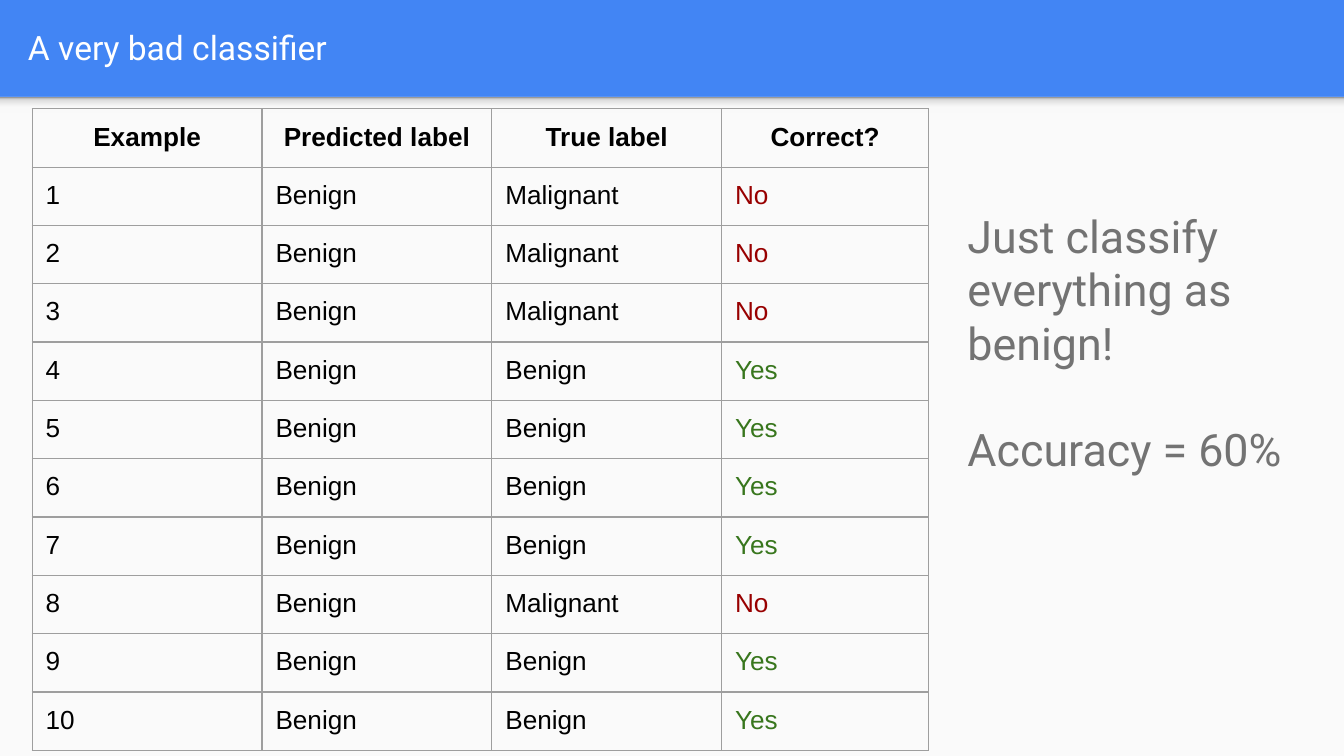
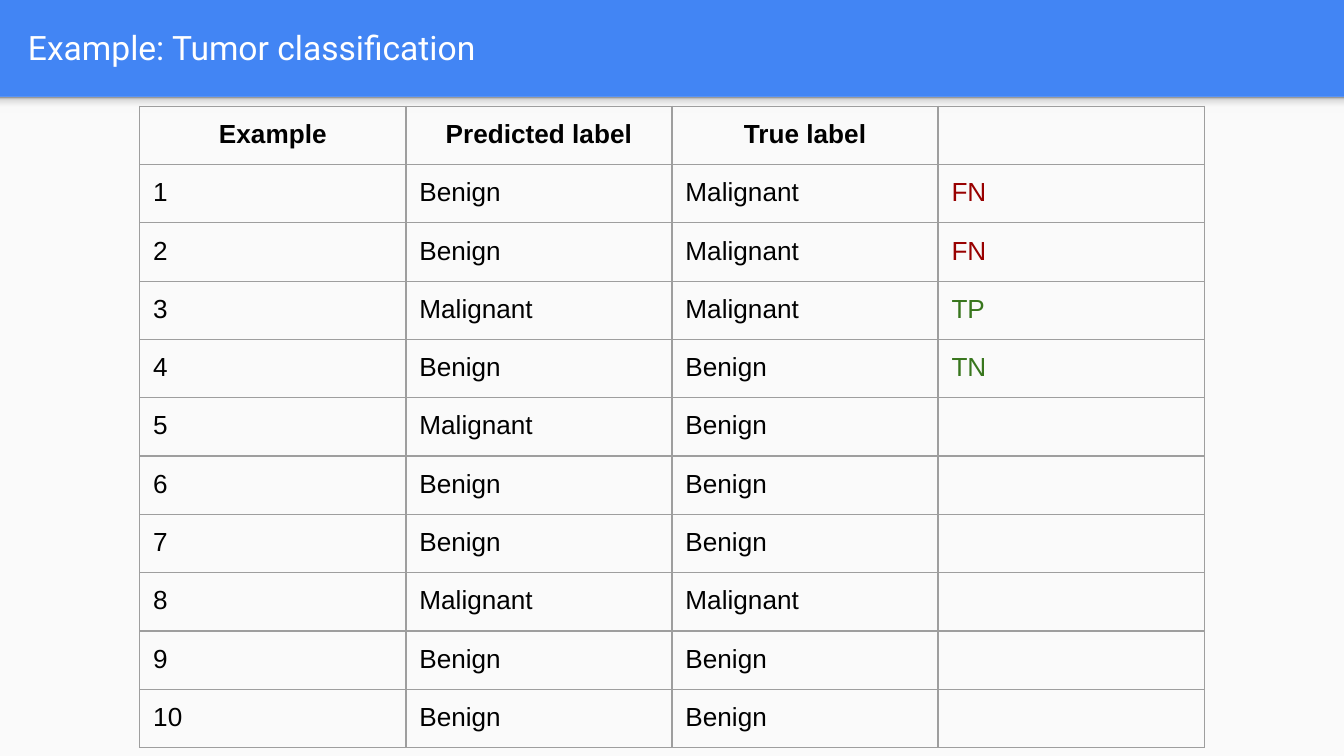
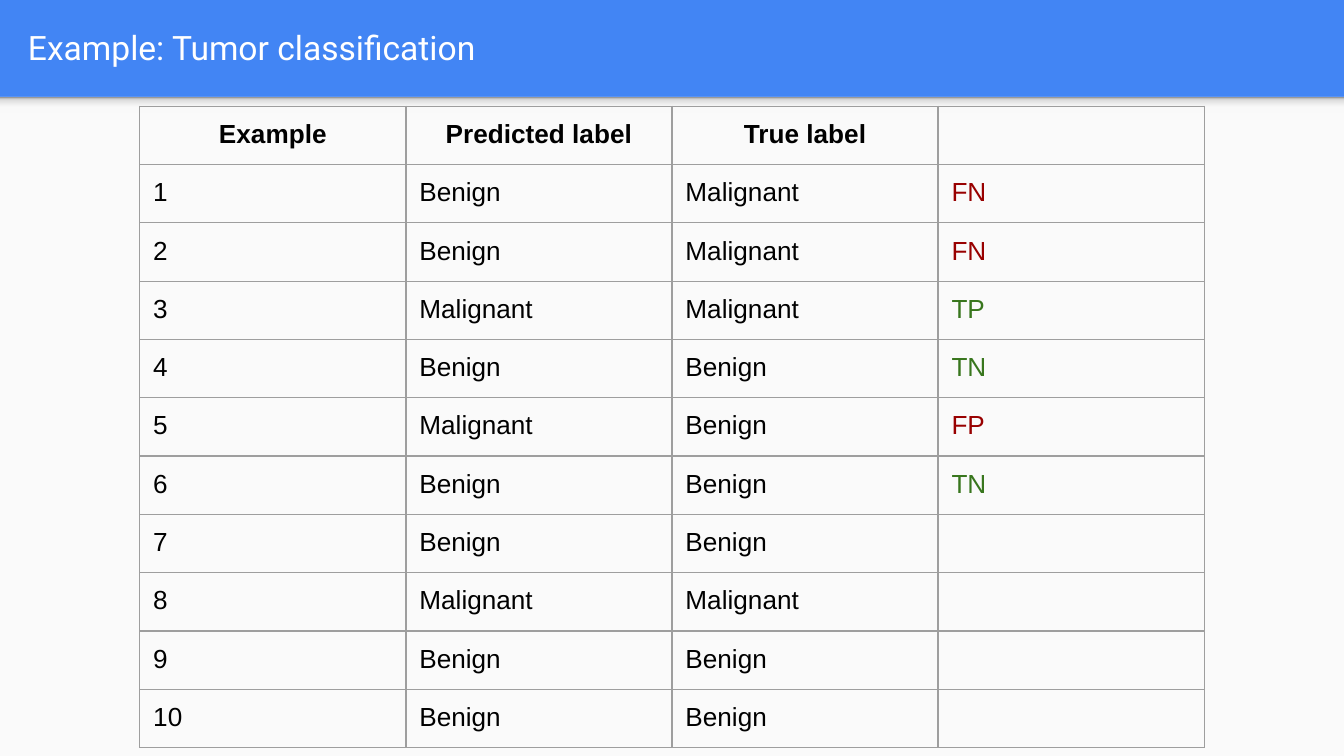
from dataclasses import dataclass

from lxml.etree import SubElement
from pptx import Presentation
from pptx.dml.color import RGBColor
from pptx.enum.shapes import MSO_SHAPE
from pptx.enum.text import MSO_ANCHOR, PP_ALIGN
from pptx.oxml.ns import qn
from pptx.util import Inches, Pt

COLORS = {
    "blue": "4285F4",
    "panel": "FAFAFA",
    "white": "FFFFFF",
    "black": "000000",
    "gray": "737373",
    "rule": "9E9E9E",
    "red": "980000",
    "green": "38761D",
}
SHADE = [(0, "F9F9F9"), (36, "F9F9F9"), (80, "DEDEDE"), (100, "999999")]
WIDTH, HEIGHT, BAND = 10, 5.625, 0.72
PAD = Inches(0.1)

BAD, GOOD = "Malignant", "Benign"
TRUE = [BAD] * 3 + [GOOD] * 4 + [BAD] + [GOOD] * 2
GUESS = [BAD if case in (3, 5, 8) else GOOD for case in range(1, 11)]
HEADS = ["Example", "Predicted label", "True label"]


@dataclass
class Grid:
    left: float
    top: float
    widths: list[float]
    last: str
    guess: list[str]
    marks: list[str]


@dataclass
class Page:
    title: str
    grid: Grid
    notes: tuple[str, ...] = ()


def color(name: str) -> RGBColor:
    return RGBColor.from_string(COLORS[name])


def write(frame, *texts: str, size: float, font: str, tint: str,
          bold: bool = False, align=PP_ALIGN.LEFT, gap: float = 0) -> None:
    """Fill a text frame with one paragraph per text, gap points apart."""
    for pos, text in enumerate(texts):
        para = frame.add_paragraph() if pos else frame.paragraphs[0]
        para.alignment = align
        if pos:
            para.space_before = Pt(gap)
        if not text:
            SubElement(para._p, qn("a:endParaRPr"), sz=str(int(size * 100)))
            continue
        run = para.add_run()
        run.text = text
        run.font.size = Pt(size)
        run.font.name = font
        run.font.bold = bold
        run.font.color.rgb = color(tint)


def add_text(slide, box: tuple, *texts: str, anchor=MSO_ANCHOR.TOP, **style) -> None:
    frame = slide.shapes.add_textbox(*map(Inches, box)).text_frame
    frame.word_wrap = True
    frame.vertical_anchor = anchor
    frame.margin_left = frame.margin_right = PAD
    frame.margin_top = frame.margin_bottom = PAD
    write(frame, *texts, font="Roboto", **style)


def add_rect(slide, height: float):
    """Add a plain full-width rectangle just below the title band."""
    rect = slide.shapes.add_shape(
        MSO_SHAPE.RECTANGLE, 0, Inches(BAND), Inches(WIDTH), Inches(height))
    rect.shadow.inherit = False
    rect.line.fill.background()
    return rect


def add_base(slide, title: str) -> None:
    """Draw the band, panel and shade, then the title."""
    back = slide.background.fill
    back.solid()
    back.fore_color.rgb = color("blue")

    panel = add_rect(slide, HEIGHT - BAND)
    panel.fill.solid()
    panel.fill.fore_color.rgb = color("panel")

    shade = add_rect(slide, 0.12)
    shade.fill.gradient()
    shade.fill.gradient_angle = 90
    stops = next(shade._element.iter(qn("a:gsLst")))
    for stop in list(stops):
        stops.remove(stop)
    for pos, tint in SHADE:
        stop = SubElement(stops, qn("a:gs"), pos=str(pos * 1000))
        SubElement(stop, qn("a:srgbClr"), val=tint)

    add_text(slide, (0.11, 0.02, 9.65, 0.66), title,
             size=18, tint="white", anchor=MSO_ANCHOR.MIDDLE)


def add_rules(cell) -> None:
    """Draw the four borders of a table cell."""
    props = cell._tc.get_or_add_tcPr()
    for side in ("lnL", "lnR", "lnT", "lnB"):
        line = SubElement(props, qn(f"a:{side}"), w=str(int(Pt(0.75))))
        fill = SubElement(line, qn("a:solidFill"))
        SubElement(fill, qn("a:srgbClr"), val=COLORS["rule"])


def mark_tint(mark: str) -> str:
    return "green" if mark[:1] in ("Y", "T") else "red"


def add_grid(slide, grid: Grid) -> None:
    rows = [HEADS + [grid.last]]
    for num, (guess, true, mark) in enumerate(zip(grid.guess, TRUE, grid.marks), 1):
        rows.append([str(num), guess, true, mark])
    holder = slide.shapes.add_table(
        len(rows), len(grid.widths), Inches(grid.left), Inches(grid.top),
        Inches(sum(grid.widths)), Inches(0.31 * len(rows)))
    table = holder.table
    table.first_row = table.horz_banding = False
    for col, width in zip(table.columns, grid.widths):
        col.width = Inches(width)
    for r, row in enumerate(rows):
        for c, text in enumerate(row):
            cell = table.cell(r, c)
            cell.margin_left = cell.margin_right = PAD
            cell.margin_top = cell.margin_bottom = PAD
            add_rules(cell)
            cell.fill.background()
            head = r == 0
            write(cell.text_frame, text, size=14, font="Arial", bold=head,
                  tint=mark_tint(text) if c == 3 and not head else "black",
                  align=PP_ALIGN.CENTER if head else PP_ALIGN.LEFT)
    holder.height = Inches(4.77)


def tumor_page(shown: int) -> Page:
    """Grade the first shown cases as TP, TN, FP or FN."""
    marks = [("T" if guess == true else "F") + ("P" if guess == BAD else "N")
             for guess, true in zip(GUESS, TRUE)]
    marks[shown:] = [""] * (len(TRUE) - shown)
    return Page("Example: Tumor classification",
                Grid(1.04, 0.79, [1.98] * 4, "", GUESS, marks))


def bad_page() -> Page:
    marks = ["Yes" if true == GOOD else "No" for true in TRUE]
    grid = Grid(0.24, 0.81, [1.71] * 3 + [1.54], "Correct?",
                [GOOD] * len(TRUE), marks)
    return Page("A very bad classifier", grid,
                ("Just classify everything as benign!", "Accuracy = 60%"))


def main() -> None:
    deck = Presentation()
    deck.slide_width, deck.slide_height = Inches(WIDTH), Inches(HEIGHT)
    for page in (bad_page(), tumor_page(4), tumor_page(6)):
        slide = deck.slides.add_slide(deck.slide_layouts[6])
        add_base(slide, page.title)
        add_grid(slide, page.grid)
        if page.notes:
            add_text(slide, (7.1, 1.45, 2.66, 2.43), *page.notes,
                     size=24, tint="gray", gap=28)
    deck.save("out.pptx")


if __name__ == "__main__":
    main()
